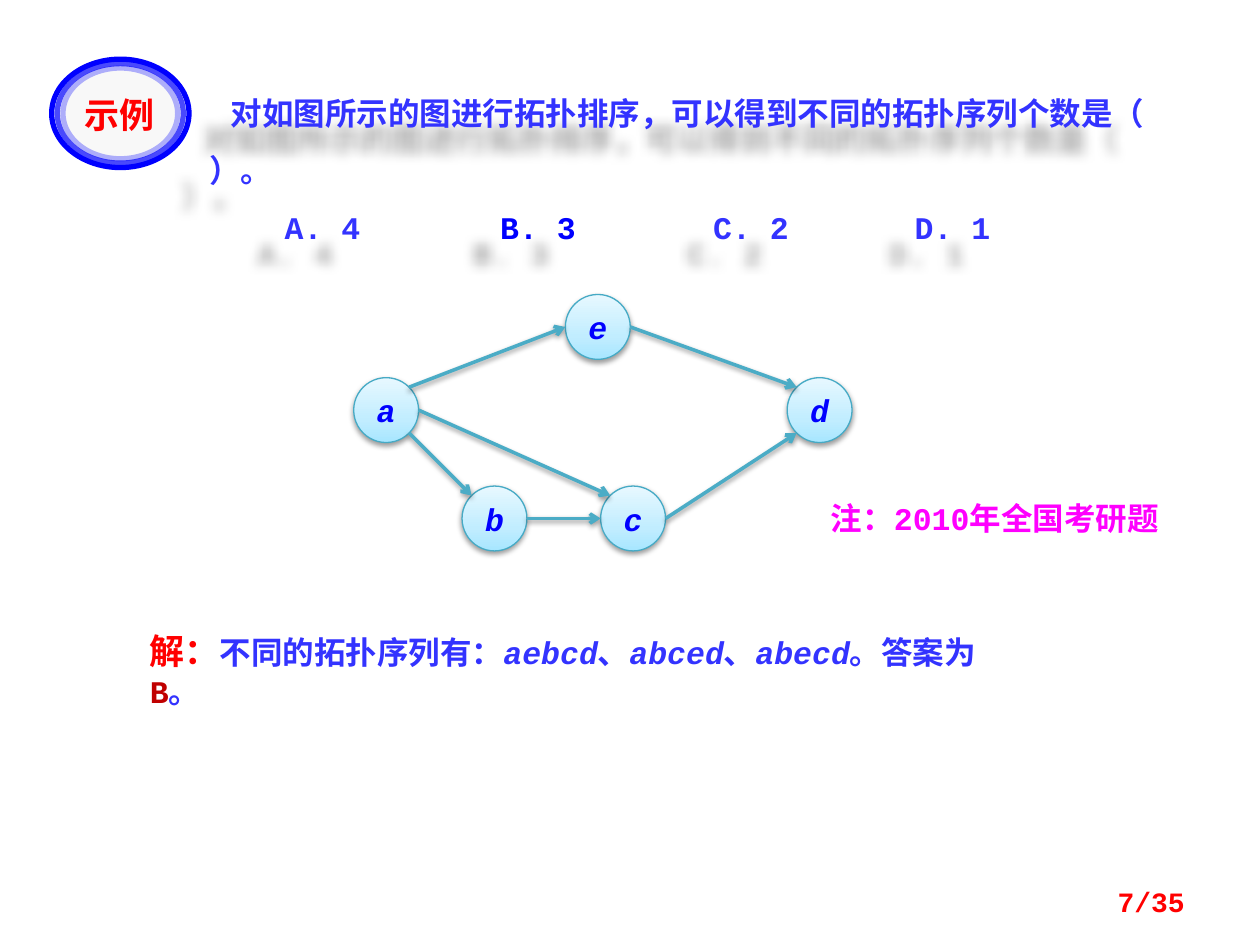
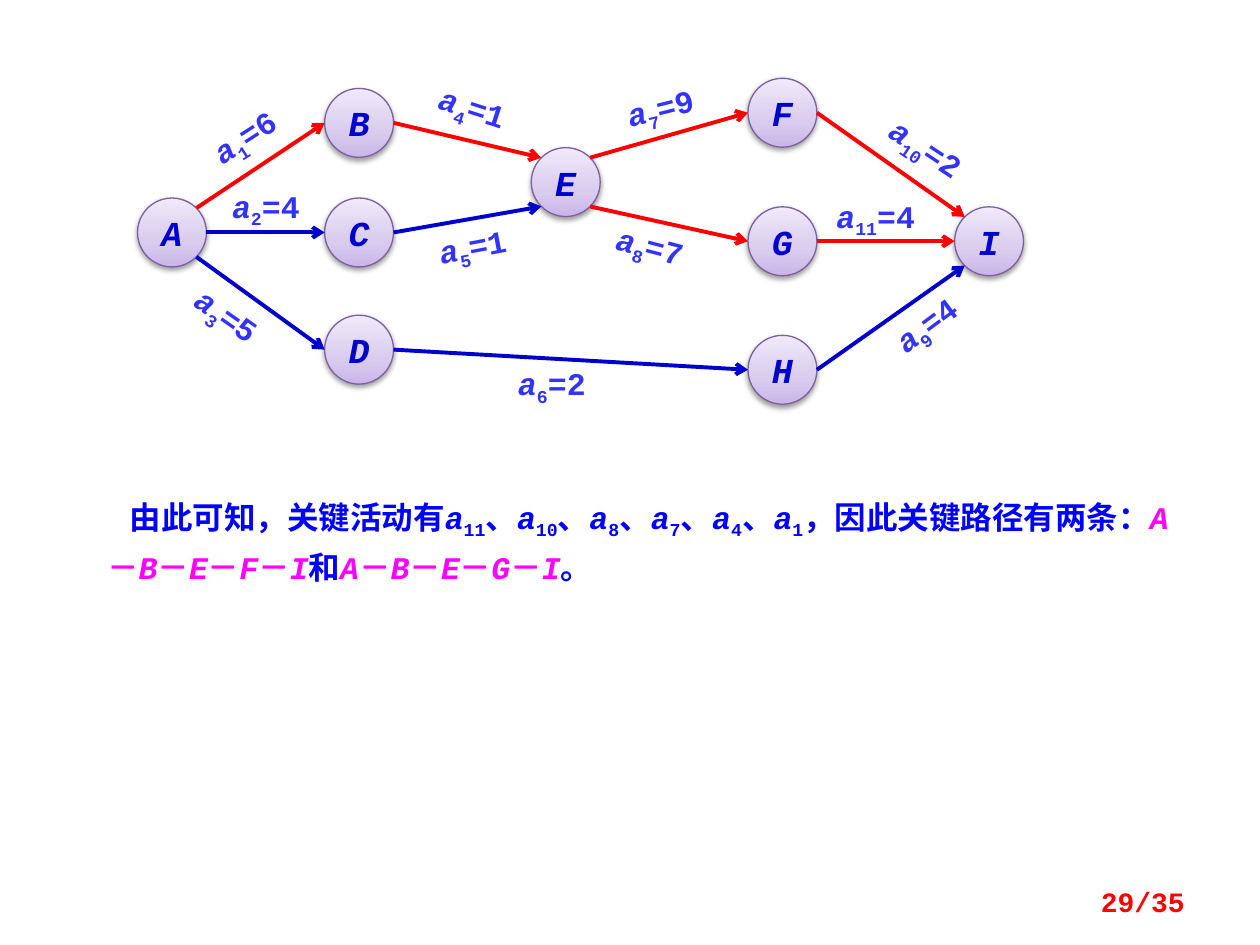
from dataclasses import dataclass
from math import cos, radians, sin

from lxml.etree import SubElement
from pptx import Presentation
from pptx.dml.color import RGBColor
from pptx.enum.shapes import MSO_CONNECTOR, MSO_SHAPE
from pptx.enum.text import MSO_ANCHOR, MSO_AUTO_SIZE, PP_ALIGN
from pptx.oxml.ns import qn
from pptx.util import Inches, Pt

SLIDE_WIDTH, SLIDE_HEIGHT = Inches(10), Inches(7.5)
PAGE_COUNT = 35
TITLE_ONLY = 5
TOP_LEFT, LEFT, BOTTOM_LEFT, BOTTOM_RIGHT, RIGHT, TOP_RIGHT = 1, 2, 3, 5, 6, 7


@dataclass(frozen=True)
class Theme:
    font: str = "Courier New"
    badge_font: str = "Noto Sans CJK JP"
    body: str = "3333FF"
    blue: str = "0000FF"
    navy: str = "0000CC"
    red: str = "FF0000"
    answer: str = "C00000"
    magenta: str = "FF00FF"
    badge_fill: str = "F8F8F8"
    body_size: int = 18
    large_size: int = 20
    page_size: int = 16


@dataclass(frozen=True)
class NodeStyle:
    stops: tuple
    outline: str
    text: str
    size: int
    diameter: float


THEME = Theme()
AQUA_NODE = NodeStyle(((0, "A7E6FF"), (35, "C1EDFF"), (100, "E7F8FF")),
                      "46AAC5", THEME.blue, THEME.body_size, 5.15)
AQUA_EDGE = "4BACC6"
PURPLE_NODE = NodeStyle(((0, "C9B5E8"), (35, "D8CBEE"), (100, "F0EAF9")),
                        "7D60A0", THEME.navy, THEME.large_size, 5.47)

TOPOLOGY_NODES = {"e": (47.45, 34.6), "a": (30.65, 43.4), "b": (39.25, 54.87),
                  "c": (50.25, 54.87), "d": (65.05, 43.4)}
TOPOLOGY_EDGES = [
    ("a", BOTTOM_RIGHT, "b", TOP_LEFT), ("a", TOP_RIGHT, "e", LEFT),
    ("e", RIGHT, "d", TOP_LEFT), ("b", RIGHT, "c", LEFT),
    ("c", RIGHT, "d", BOTTOM_LEFT), ("a", RIGHT, "c", TOP_LEFT),
]

EVENT_NODES = {"A": (13.65, 24.6), "B": (28.5, 13), "C": (28.5, 24.6),
               "D": (28.5, 37), "E": (44.9, 19.27), "F": (62.1, 11.93),
               "G": (62.1, 25.53), "H": (62.1, 39.13), "I": (78.5, 25.53)}
CRITICAL_ACTIVITIES = [11, 10, 8, 7, 4, 1]
CRITICAL_PATHS = ["ABEFI", "ABEGI"]
ACTIVITIES = [
    (1, 6, "A", TOP_RIGHT, "B", LEFT, 19.4, 14.47, -32.7),
    (2, 4, "A", RIGHT, "C", LEFT, 21.1, 21.8, 0),
    (3, 5, "A", BOTTOM_RIGHT, "D", LEFT, 18, 33.4, 35.2),
    (4, 1, "B", RIGHT, "E", TOP_LEFT, 37.5, 11.4, 17.8),
    (5, 1, "C", RIGHT, "E", BOTTOM_LEFT, 37.5, 26.07, -10.8),
    (6, 2, "D", RIGHT, "H", LEFT, 43.8, 40.6, 0),
    (7, 9, "E", TOP_RIGHT, "F", LEFT, 52.4, 11.4, -14),
    (8, 7, "E", BOTTOM_RIGHT, "G", LEFT, 51.6, 26.07, 14.7),
    (9, 4, "H", RIGHT, "I", BOTTOM_LEFT, 73.5, 34.33, -36.6),
    (10, 2, "F", RIGHT, "I", TOP_LEFT, 73.5, 15.67, 33.4),
    (11, 4, "G", RIGHT, "I", LEFT, 69.5, 22.87, 0),
]


def share(left, top, width, height):
    return (int(SLIDE_WIDTH * left / 100), int(SLIDE_HEIGHT * top / 100),
            int(SLIDE_WIDTH * width / 100), int(SLIDE_HEIGHT * height / 100))


def centred(x, y, width, height):
    return share(x - width / 2, y - height / 2, width, height)


def rgb(colour):
    return RGBColor.from_string(colour)


def piece(text, colour=THEME.body, size=THEME.body_size, italic=False,
          subscript=False, font=THEME.font):
    return text, colour, size, italic, subscript, font


def write(paragraph, pieces, align=PP_ALIGN.LEFT, spacing=None):
    paragraph.alignment = align
    if spacing:
        paragraph.line_spacing = spacing
    for text, colour, size, italic, subscript, font in pieces:
        run = paragraph.add_run()
        run.text = text
        run.font.name = font
        run.font.size = Pt(size)
        run.font.bold = True
        run.font.italic = italic
        run.font.color.rgb = rgb(colour)
        if subscript:
            run.font._element.set("baseline", "-25000")


def indent_first_line(paragraph, inches):
    paragraph._p.get_or_add_pPr().set("indent", str(Inches(inches)))


def add_tab_stops(paragraph, positions):
    stops = SubElement(paragraph._p.get_or_add_pPr(), qn("a:tabLst"))
    for position in positions:
        SubElement(stops, qn("a:tab"), pos=str(Inches(position)), algn="l")


def add_shadow(owner, blur, distance, direction, opacity):
    effects = owner.find(qn("a:effectLst"))
    if effects is None:
        effects = SubElement(owner, qn("a:effectLst"))
    shadow = SubElement(effects, qn("a:outerShdw"), blurRad=str(Pt(blur)),
                        dist=str(Pt(distance)), dir=str(direction * 60000),
                        algn="ctr", rotWithShape="0")
    black = SubElement(shadow, qn("a:srgbClr"), val="000000")
    SubElement(black, qn("a:alpha"), val=str(opacity * 1000))


def add_soft_shadow(owner):
    add_shadow(owner, 3.1, 1.6, 90, 38)


def add_text(slide, box, pieces, align=PP_ALIGN.LEFT, anchor=MSO_ANCHOR.TOP,
             inset=None, rotation=0):
    label = slide.shapes.add_textbox(*box)
    label.rotation = rotation
    frame = label.text_frame
    frame.word_wrap = True
    frame.vertical_anchor = anchor
    if inset is not None:
        remove_insets(frame, inset)
    write(frame.paragraphs[0], pieces, align)


def remove_insets(frame, inset=0):
    frame.margin_left = frame.margin_right = inset
    frame.margin_top = frame.margin_bottom = inset


def fill_title(slide, box, pieces, spacing, indent):
    title = slide.shapes.title
    title.left, title.top, title.width, title.height = box
    frame = title.text_frame
    frame.word_wrap = True
    frame.auto_size = MSO_AUTO_SIZE.NONE
    frame.vertical_anchor = MSO_ANCHOR.TOP
    write(frame.paragraphs[0], pieces, spacing=spacing)
    indent_first_line(frame.paragraphs[0], indent)
    return title


def add_page_number(slide, number):
    add_text(slide, share(71.7, 92.67, 23.3, 5.33),
             [piece(f"{number}/{PAGE_COUNT}", THEME.red, THEME.page_size)],
             PP_ALIGN.RIGHT, MSO_ANCHOR.MIDDLE)


def add_node(slide, name, centre, style):
    height = style.diameter * SLIDE_WIDTH / SLIDE_HEIGHT
    node = slide.shapes.add_shape(
        MSO_SHAPE.OVAL, *centred(*centre, style.diameter, height))
    node.shadow.inherit = False
    node.fill.gradient()
    node.fill.gradient_angle = 90
    properties = node._element.spPr
    stops = properties.find(qn("a:gradFill")).find(qn("a:gsLst"))
    stops.clear()
    for position, colour in style.stops:
        stop = SubElement(stops, qn("a:gs"), pos=str(position * 1000))
        SubElement(stop, qn("a:srgbClr"), val=colour)
    node.line.color.rgb = rgb(style.outline)
    node.line.width = Pt(0.75)
    add_soft_shadow(properties)
    frame = node.text_frame
    frame.word_wrap = False
    frame.vertical_anchor = MSO_ANCHOR.MIDDLE
    remove_insets(frame)
    write(frame.paragraphs[0],
          [piece(name, style.text, style.size, italic=True)], PP_ALIGN.CENTER)
    return node


def add_nodes(slide, centres, style):
    return {name: add_node(slide, name, centre, style)
            for name, centre in centres.items()}


def site_point(node, site):
    angle = radians(90 + 45 * site)
    return (int(node.left + node.width / 2 * (1 + cos(angle))),
            int(node.top + node.height / 2 * (1 - sin(angle))))


def add_edge(slide, start, start_site, end, end_site, colour, width, shaded):
    edge = slide.shapes.add_connector(
        MSO_CONNECTOR.STRAIGHT, *site_point(start, start_site),
        *site_point(end, end_site))
    joints = edge._element.nvCxnSpPr.cNvCxnSpPr
    for tag, node, site in (("a:stCxn", start, start_site),
                            ("a:endCxn", end, end_site)):
        SubElement(joints, qn(tag), id=str(node.shape_id), idx=str(site))
    edge.line.color.rgb = rgb(colour)
    edge.line.width = Pt(width)
    properties = edge._element.spPr
    SubElement(properties.find(qn("a:ln")), qn("a:tailEnd"), type="arrow")
    if shaded:
        add_soft_shadow(properties)
    else:
        SubElement(properties, qn("a:effectLst"))


def add_badge(slide, text):
    for width, height, opacity in ((10.9, 11.47, 100), (10, 10.53, 70),
                                   (9.1, 9.6, 30)):
        ring = slide.shapes.add_shape(
            MSO_SHAPE.OVAL, *centred(9.55, 12, width, height))
        ring.shadow.inherit = False
        ring.line.color.rgb = rgb(THEME.blue)
        ring.line.width = Pt(3)
        if opacity == 100:
            ring.fill.solid()
            ring.fill.fore_color.rgb = rgb(THEME.badge_fill)
        else:
            ring.fill.background()
            ink = ring._element.spPr.find(qn("a:ln")).find(
                ".//" + qn("a:srgbClr"))
            SubElement(ink, qn("a:alpha"), val=str(opacity * 1000))
    add_text(slide, centred(9.5, 11.8, 9.6, 5.2),
             [piece(text, THEME.red, THEME.large_size, font=THEME.badge_font)],
             PP_ALIGN.CENTER)


def activity(number, colour):
    return [piece("a", colour, italic=True),
            piece(str(number), colour, subscript=True)]


def interleave(groups, separator):
    joined = list(groups[0])
    for group in groups[1:]:
        joined += [separator, *group]
    return joined


def critical_path(events):
    return interleave([[piece(event, THEME.magenta, italic=True)]
                       for event in events], piece("－", THEME.magenta))


def build_topology_slide(slide):
    question = fill_title(
        slide, share(15.6, 7.33, 76.6, 18.93),
        [piece("对如图所示的图进行拓扑排序，可以得到不同的拓扑序列个数是（ ）。")],
        1.5, 0.17)
    options = question.text_frame.add_paragraph()
    add_tab_stops(options, (0.6, 2.31, 4, 5.6))
    write(options, [piece("\tA. 4\t"), piece("B. 3", THEME.blue),
                    piece("\tC. 2\tD. 1")], spacing=1.5)
    question.shadow.inherit = False
    add_shadow(question._element.spPr, 6, 21, 139, 35)

    nodes = add_nodes(slide, TOPOLOGY_NODES, AQUA_NODE)
    for start, start_site, end, end_site in TOPOLOGY_EDGES:
        add_edge(slide, nodes[start], start_site, nodes[end], end_site,
                 AQUA_EDGE, 2, True)

    orders = interleave([[piece(order, italic=True)]
                         for order in ("aebcd", "abced", "abecd")], piece("、"))
    add_text(slide, share(10.9, 66, 71.1, 5.87),
             [piece("解：", THEME.red, THEME.large_size),
              piece("不同的拓扑序列有："), *orders, piece("。答案为"),
              piece("B", THEME.answer), piece("。")])
    add_text(slide, share(63.3, 52.13, 31.3, 5.33),
             [piece("注：2010年全国考研题", THEME.magenta)], PP_ALIGN.CENTER)
    add_badge(slide, "示例")
    add_page_number(slide, 7)


def build_critical_path_slide(slide):
    names = interleave([activity(number, THEME.blue)
                        for number in CRITICAL_ACTIVITIES],
                       piece("、", THEME.blue))
    paths = interleave([critical_path(events) for events in CRITICAL_PATHS],
                       piece("和", THEME.blue))
    fill_title(slide, share(7.5, 51.07, 88.2, 10.67),
               [piece("由此可知，关键活动有", THEME.blue), *names,
                piece("，因此关键路径有两条：", THEME.blue), *paths,
                piece("。", THEME.blue)], 1.2, 0.18)

    nodes = add_nodes(slide, EVENT_NODES, PURPLE_NODE)
    for (number, days, start, start_site, end, end_site,
         x, y, rotation) in ACTIVITIES:
        colour = THEME.red if number in CRITICAL_ACTIVITIES else THEME.navy
        add_edge(slide, nodes[start], start_site, nodes[end], end_site,
                 colour, 2.25, False)
        add_text(slide, centred(x, y, 9.4, 4.13),
                 [*activity(number, THEME.body), piece(f"={days}")],
                 PP_ALIGN.CENTER, inset=0, rotation=rotation)
    add_page_number(slide, 29)


def main():
    deck = Presentation()
    deck.slide_width, deck.slide_height = SLIDE_WIDTH, SLIDE_HEIGHT
    for build in (build_topology_slide, build_critical_path_slide):
        build(deck.slides.add_slide(deck.slide_layouts[TITLE_ONLY]))
    deck.save("out.pptx")


if __name__ == "__main__":
    main()
